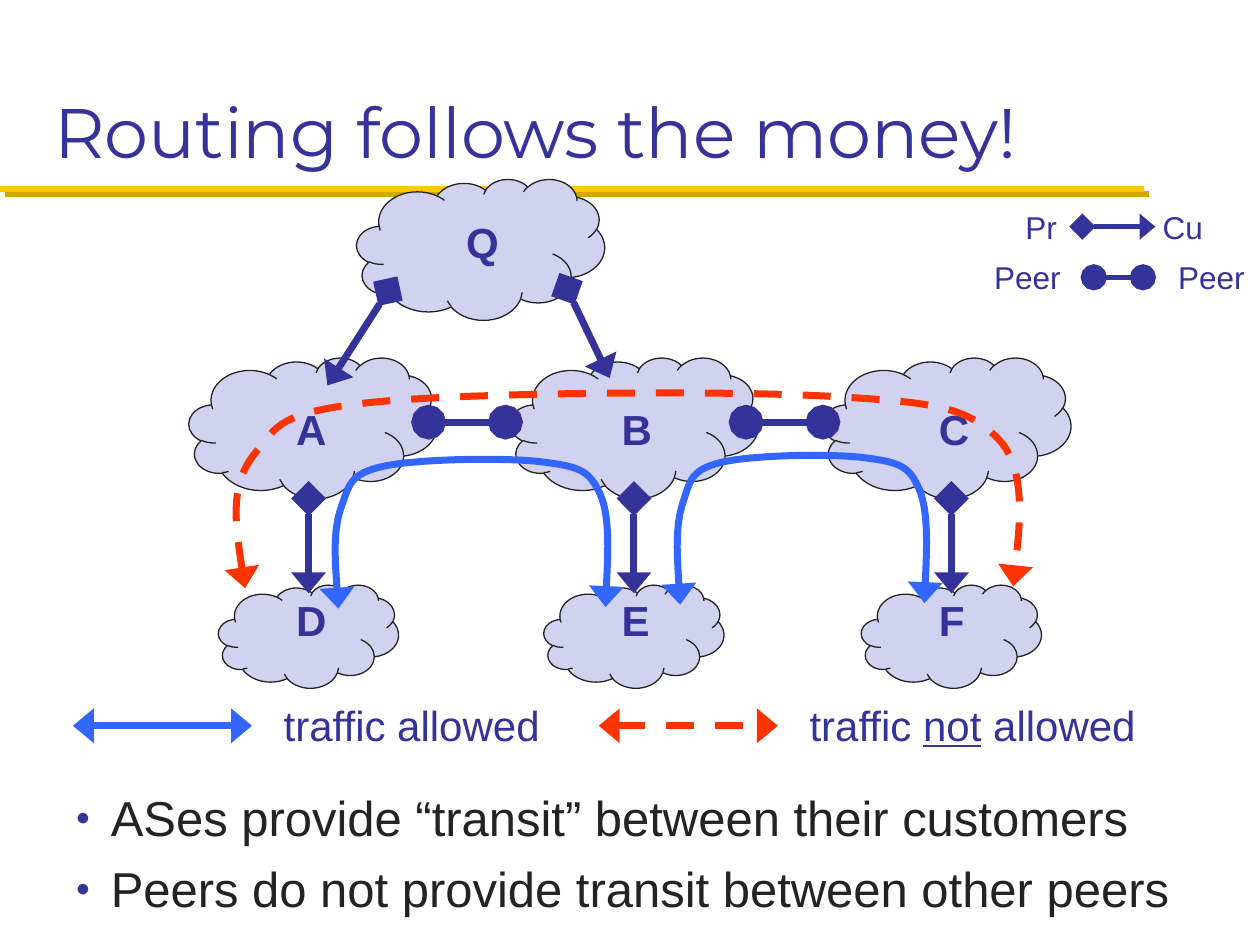
from dataclasses import dataclass

from lxml import etree
from pptx import Presentation
from pptx import util as u
from pptx.dml.color import RGBColor
from pptx.enum import dml, shapes, text
from pptx.oxml import ns


@dataclass(frozen=True)
class Theme:
    ink: str = "333399"
    body: str = "232323"
    cloud: str = "D1D1F0"
    allowed: str = "3366FF"
    denied: str = "FF3300"
    rule: str = "FFCB05"
    rule_shadow: str = "D3A600"
    head_font: str = "Montserrat"
    font: str = "Arial"
    title: int = 40
    bullet: int = 28
    label: int = 24
    key: int = 18


T = Theme()

# One traffic arc as cubic Bézier points in a unit box
ARC = [(0.02, 1), (0.01, 0.75), (0, 0.49), (0.03, 0.33), (0.06, 0.18), (0.06, 0.11),
       (0.18, 0.06), (0.3, 0.01), (0.62, 0), (0.75, 0.03), (0.88, 0.06), (0.92, 0.08),
       (0.96, 0.24), (1, 0.4), (0.98, 0.99), (0.98, 0.99)]


def sub(parent, tag, **attrs):
    return etree.SubElement(parent, ns.qn("a:" + tag), attrs)


def apply(obj, **fmt):
    for name, value in fmt.items():
        setattr(obj, name, value)


def set_font(font, size, color, **fmt):
    apply(font, **{"name": T.font, "size": u.Pt(size), **fmt})
    font.color.rgb = RGBColor.from_string(color)


def set_line(sp, color, width, ends=(), dashed=False):
    """Stroke a shape; ends are the head and tail arrow types."""
    sp.line.color.rgb = RGBColor.from_string(color)
    sp.line.width = u.Pt(width)
    if dashed:
        sp.line.dash_style = dml.MSO_LINE.DASH
    ln = sp.line._get_or_add_ln()
    for tag, kind in zip(("headEnd", "tailEnd"), ends):
        sub(ln, tag, type=kind, w="lg", len="med" if kind == "triangle" else "lg")


def add_link(s, x1, y1, x2, y2, color, width, ends=(), dashed=False):
    sp = s.shapes.add_connector(shapes.MSO_CONNECTOR.STRAIGHT,
                                u.Cm(x1), u.Cm(y1), u.Cm(x2), u.Cm(y2))
    set_line(sp, color, width, ends, dashed)
    return sub(sp._element.spPr, "effectLst")


def add_cloud(s, x, y, w, h):
    sp = s.shapes.add_shape(shapes.MSO_SHAPE.CLOUD, u.Cm(x), u.Cm(y), u.Cm(w), u.Cm(h))
    sp.shadow.inherit = False
    sp.fill.solid()
    sp.fill.fore_color.rgb = RGBColor.from_string(T.cloud)
    set_line(sp, T.body, 0.75)


def add_label(s, x, y, w, h, runs, size, bold=False):
    """Add unwrapped text; runs are (text, underlined) pairs."""
    tf = s.shapes.add_textbox(u.Cm(x), u.Cm(y), u.Cm(w), u.Cm(h)).text_frame
    apply(tf, word_wrap=False, auto_size=text.MSO_AUTO_SIZE.SHAPE_TO_FIT_TEXT)
    for words, underlined in runs:
        r = tf.paragraphs[0].add_run()
        r.text = words
        set_font(r.font, size, T.ink, bold=bold, underline=underlined)


def add_arc(s, x, y, w, h, color, dashed=False):
    pts = [(u.Cm(x + w * px), u.Cm(y + h * py)) for px, py in ARC]
    fb = s.shapes.build_freeform(*pts[0])
    fb.add_line_segments(pts[1:], close=False)
    sp = fb.convert_to_shape()
    sp.shadow.inherit = False
    sp.fill.background()
    set_line(sp, color, 4, ("triangle", "triangle"), dashed)
    # Turn every three line points into one cubic curve
    outline = sp._element.find(".//" + ns.qn("a:path"))
    segments = outline.findall(ns.qn("a:lnTo"))
    for i in range(0, len(segments), 3):
        curve = sub(outline, "cubicBezTo")
        for seg in segments[i:i + 3]:
            curve.append(seg[0])
            outline.remove(seg)


def place(sp, x, y, w, h):
    apply(sp, left=u.Cm(x), top=u.Cm(y), width=u.Cm(w), height=u.Cm(h))


def title_region(s, x, y, w, h):
    sp = s.shapes.title
    place(sp, x, y, w, h)
    tf = sp.text_frame
    tf.text = "Routing follows the money!"
    apply(tf, vertical_anchor=text.MSO_ANCHOR.BOTTOM, auto_size=text.MSO_AUTO_SIZE.NONE)
    p = tf.paragraphs[0]
    p.alignment = text.PP_ALIGN.LEFT
    set_font(p.runs[0].font, T.title, T.ink, name=T.head_font)
    # Gold rule with its hard shadow
    effects = add_link(s, 0, y + h + 0.2, 23.06, y + h + 0.2, T.rule, 3.5)
    shadow = sub(effects, "outerShdw", dist=str(u.Pt(4.2)), dir="2700000",
                 algn="ctr", rotWithShape="0")
    sub(shadow, "srgbClr", val=T.rule_shadow)


def network_region(s, x, y):
    w, h = 5, 2.84                 # provider cloud
    cw, ch = 3.63, 2.08            # customer cloud
    mid_y, low_y = 3.6, 8.18
    columns = [("A", "D", 0, 2.41), ("B", "E", 6.48, 8.97), ("C", "F", 12.78, 15.37)]
    labels = [("Q", 5.84, 0.63)]
    add_cloud(s, x + 3.38, y, w, h)
    for upper, lower, left, axis in columns:
        add_cloud(s, x + axis - cw / 2, y + low_y, cw, ch)
        add_cloud(s, x + left, y + mid_y, w, h)
        labels += [(upper, axis, 4.39), (lower, axis, 8.25)]
    # Provider to customer, then peer to peer
    down = [(axis, mid_y + h, axis, 8.35) for *_, axis in columns]
    down += [(4.01, 2.26, 2.79, 4.16), (7.62, 2.21, 8.48, 4.01)]
    peers = [(left, 4.9, left + 1.55, 4.9) for left in (4.83, 11.23)]
    for links, ends in ((down, ("diamond", "triangle")), (peers, ("oval", "oval"))):
        for x1, y1, x2, y2 in links:
            add_link(s, x + x1, y + y1, x + x2, y + y2, T.ink, 4, ends)
    for name, cx, top in labels:
        add_label(s, x + cx - 0.5, y + top, 1, 0.94, [(name, False)], T.label, True)
    # Traffic flows
    add_arc(s, x + 2.9, y + 5.61, 5.61, 3.05, T.allowed)
    add_arc(s, x + 9.8, y + 5.53, 5.13, 3.05, T.allowed)
    add_arc(s, x + 0.81, y + 4.26, 16.13, 3.99, T.denied, True)


def role_key(s, x, y):
    row_h = 1.02
    rows = [(("Pr", 0.63, 1.19), ("Cu", 3.4, 1.37), (2.03, 3.5), ("diamond", "triangle")),
            (("Peer", 0, 1.9), ("Peer", 3.71, 1.9), (2.26, 3.25), ("oval", "oval"))]
    for i, (first, second, (x1, x2), ends) in enumerate(rows):
        top = y + i * row_h
        for name, left, w in (first, second):
            add_label(s, x + left, top, w, row_h, [(name, False)], T.key)
        add_link(s, x + x1, top + row_h / 2, x + x2, top + row_h / 2, T.ink, 3, ends)


def traffic_key(s, x, y, w, runs, color, dashed=False):
    add_link(s, x, y + 0.65, x + 3.61, y + 0.65, color, 4, ("triangle", "triangle"), dashed)
    add_label(s, x + 4, y, w, 1.3, runs, T.label)


def bullet_region(s, x, y, w, h):
    sp = s.placeholders[1]
    place(sp, x, y, w, h)
    tf = sp.text_frame
    tf.auto_size = text.MSO_AUTO_SIZE.NONE
    tf.text = ("ASes provide “transit” between their customers\n"
               "Peers do not provide transit between other peers")
    for i, p in enumerate(tf.paragraphs):
        pPr = p._p.get_or_add_pPr()
        apply_indent = {"marL": u.Cm(0.71), "indent": -u.Cm(0.71)}
        for name, value in apply_indent.items():
            pPr.set(name, str(int(value)))
        sub(sub(pPr, "buClr"), "srgbClr", val=T.ink)
        sub(pPr, "buSzPct", val="50000")
        sub(pPr, "buFont", typeface=T.font)
        sub(pPr, "buChar", char="●")
        p.space_before = u.Pt(7 if i else 0)
        set_font(p.runs[0].font, T.bullet, T.body)


def main():
    prs = Presentation()
    apply(prs, slide_width=u.Cm(25.4), slide_height=u.Cm(19.05))
    s = prs.slides.add_slide(prs.slide_layouts[1])
    title_region(s, 0.84, 0.43, 23.7, 3.18)
    network_region(s, 3.81, 3.61)
    role_key(s, 19.79, 4.06)
    traffic_key(s, 1.47, 13.98, 5.72, [("traffic allowed", False)], T.allowed)
    traffic_key(s, 12.07, 13.98, 7.14,
                [("traffic ", False), ("not", True), (" allowed", False)], T.denied, True)
    bullet_region(s, 1.27, 15.75, 22.86, 2.97)
    prs.save("out.pptx")


if __name__ == "__main__":
    main()
